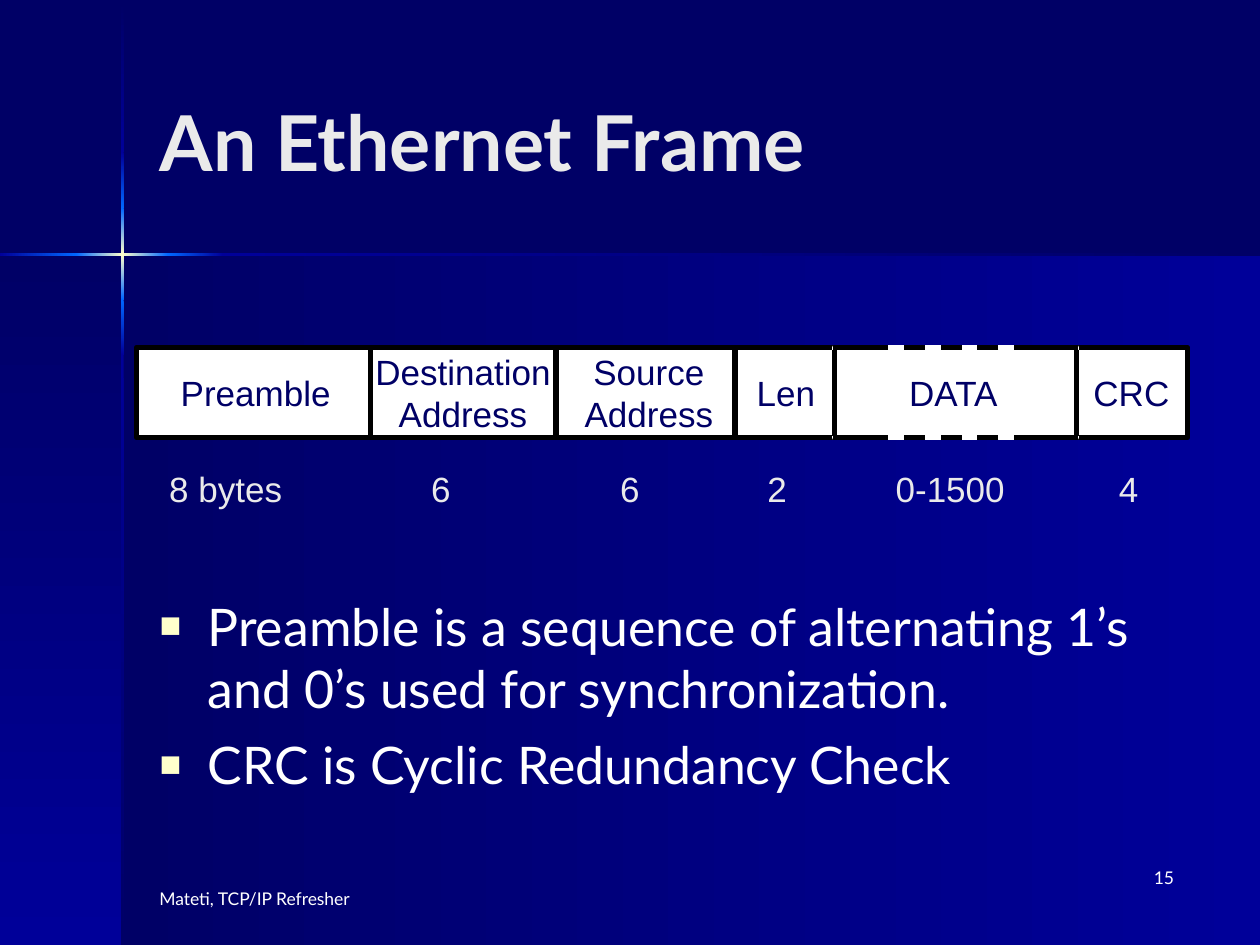
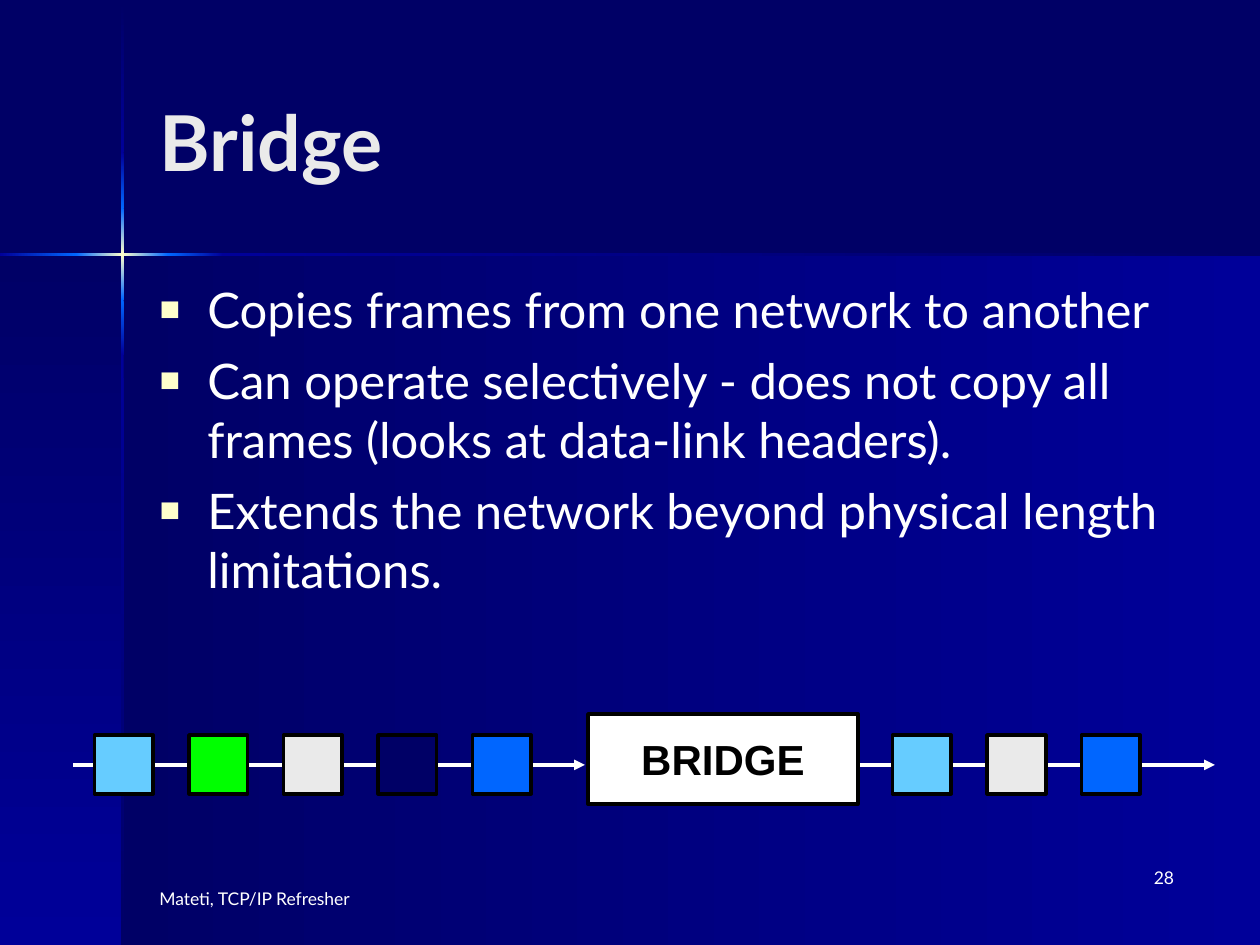
from itertools import pairwise

from lxml import etree
from pptx import Presentation
from pptx import util as u
from pptx.dml.color import RGBColor
from pptx.enum import dml, shapes, text
from pptx.oxml import ns

NAVY = RGBColor(0x00, 0x00, 0x66)
DEEP = RGBColor(0x00, 0x00, 0x99)
BLUE = RGBColor(0x00, 0x66, 0xFF)
SKY = RGBColor(0x66, 0xCC, 0xFF)
LIME = RGBColor(0x00, 0xFF, 0x00)
CREAM = RGBColor(0xFF, 0xFF, 0xCC)
PALE = RGBColor(0xEA, 0xEA, 0xEA)
WHITE = RGBColor(0xFF, 0xFF, 0xFF)
BLACK = RGBColor(0x00, 0x00, 0x00)

WIDE, HIGH = u.Inches(10), u.Inches(7.5)
COLS, ROWS = 120, 90
CROSS_X, CROSS_Y = 11.65, 24.25
GLOW = [NAVY, DEEP, BLUE, CREAM, BLUE, DEEP, NAVY]
DOWN = [0.1, 14.5, 19.8, CROSS_Y, 28.55, 33.8, ROWS]
OVER = [0, 7.25, CROSS_X, 16, 21.25, COLS]

LEFT, SPAN = 14, 99
FRAME_Y, FRAME_H = 33.1, 8.6
FIELDS = [
    ("Preamble", 13, 22.7),
    ("Destination\nAddress", 35.3, 17.6),
    ("Source\nAddress", 53, 17.6),
    ("Len", 70, 9.7),
    ("CRC", 102.4, 10.7),
]
SIZES = ["8 bytes", "6", "6", "2", "0-1500", "4"]
EDGES = [10, 33, 51, 69, 79, 102, 113]


def across(n):
    return round(WIDE * n / COLS)


def along(n):
    return round(HIGH * n / ROWS)


def area(x, y, w, h):
    return across(x), along(y), across(w), along(h)


def place(item, box):
    item.left, item.top, item.width, item.height = area(*box)


def style(para, size, color, face="Lato", bold=False, align=None):
    para.alignment = align
    font = para.font
    font.size, font.name, font.bold = u.Pt(size), face, bold
    font.color.rgb = color
    for run in para.runs:
        run.font.size, run.font.name, run.font.bold = u.Pt(size), face, bold
        run.font.color.rgb = color


def write(item, words, size, color, wrap=False, anchor=text.MSO_ANCHOR.MIDDLE,
          **look):
    frame = item.text_frame
    frame.text = words
    frame.word_wrap = wrap
    frame.auto_size = text.MSO_AUTO_SIZE.NONE
    frame.vertical_anchor = anchor
    for para in frame.paragraphs:
        style(para, size, color, **look)


def rect(slide, box, fill=None, line=None, width=2):
    item = slide.shapes.add_shape(shapes.MSO_SHAPE.RECTANGLE, *area(*box))
    item.shadow.inherit = False
    if fill is not None:
        item.fill.solid()
        item.fill.fore_color.rgb = fill
    if line is None:
        item.line.fill.background()
    else:
        item.line.color.rgb = line
        item.line.width = u.Pt(width)
    return item


def fade(slide, box, start, end, angle):
    fill = rect(slide, box).fill
    fill.gradient()
    fill.gradient_angle = angle
    for stop, color, spot in zip(fill.gradient_stops, (start, end), (0, 1)):
        stop.color.rgb = color
        stop.position = spot


def label(slide, box, words, size, color, **look):
    item = slide.shapes.add_textbox(*area(*box))
    write(item, words, size, color, **look)


def rule(slide, x1, y1, x2, y2, color, width, dash=False, arrow=False):
    item = slide.shapes.add_connector(
        shapes.MSO_CONNECTOR.STRAIGHT,
        across(x1), along(y1), across(x2), along(y2))
    item.line.color.rgb = color
    item.line.width = u.Pt(width)
    if dash:
        item.line.dash_style = dml.MSO_LINE.DASH
    props = item.element.spPr
    if arrow:
        etree.SubElement(props.find(ns.qn("a:ln")), ns.qn("a:tailEnd"),
                         type="triangle")
    etree.SubElement(props, ns.qn("a:effectLst"))


def bullet(para):
    props = para._p.get_or_add_pPr()
    props.set("marL", str(u.Inches(0.38)))
    props.set("indent", str(-u.Inches(0.38)))
    tint = etree.SubElement(props, ns.qn("a:buClr"))
    etree.SubElement(tint, ns.qn("a:srgbClr"), val=str(CREAM))
    etree.SubElement(props, ns.qn("a:buSzPct"), val="70000")
    etree.SubElement(props, ns.qn("a:buFont"), typeface="Arial")
    etree.SubElement(props, ns.qn("a:buChar"), char="■")


def points(body, box, lines, size, gap):
    place(body, box)
    frame = body.text_frame
    frame.text = "\n".join(lines)
    frame.word_wrap = True
    frame.auto_size = text.MSO_AUTO_SIZE.NONE
    for i, para in enumerate(frame.paragraphs):
        bullet(para)
        para.space_before = u.Pt(gap if i else 0)
        style(para, size, WHITE)


def backdrop(slide):
    low = ROWS - CROSS_Y
    fade(slide, (CROSS_X, CROSS_Y, COLS - CROSS_X, low), NAVY, DEEP, 0)
    fade(slide, (0, CROSS_Y, CROSS_X, low), NAVY, DEEP, 270)
    thin = 0.24
    for (a, b), (c, d) in zip(pairwise(DOWN), pairwise(GLOW)):
        fade(slide, (CROSS_X - thin / 2, a, thin, b - a), c, d, 270)
    for (a, b), (c, d) in zip(pairwise(OVER), pairwise(GLOW[1:])):
        fade(slide, (a, CROSS_Y - thin / 2, b - a, thin), c, d, 0)


def start(prs, title, number):
    slide = prs.slides.add_slide(prs.slide_layouts[1])
    head, body = slide.placeholders
    backdrop(slide)
    slide.shapes[-1].element.addnext(head.element)
    head.element.addnext(body.element)
    place(head, (LEFT, 4, SPAN, 18.8))
    write(head, title, 44, PALE, wrap=True, bold=True,
          align=text.PP_ALIGN.LEFT)
    top = text.MSO_ANCHOR.TOP
    label(slide, (LEFT, 84, 32, 6), "Mateti, TCP/IP Refresher", 10, WHITE,
          wrap=True, anchor=top)
    label(slide, (88, 82, 25, 6), number, 10, WHITE, wrap=True, anchor=top,
          align=text.PP_ALIGN.RIGHT)
    return slide, body


def packet(slide):
    look = {"face": "Arial", "align": text.PP_ALIGN.CENTER}
    for words, (a, b) in zip(SIZES, pairwise(EDGES)):
        label(slide, (a, 42, b - a, 9), words, 20, PALE, **look)
    for words, x, w in FIELDS:
        cell = rect(slide, (x, FRAME_Y, w, FRAME_H), WHITE, BLACK, 3)
        write(cell, words, 20, NAVY, **look)
    rect(slide, (79.5, FRAME_Y, 23, FRAME_H), WHITE, WHITE, 3)
    base = FRAME_Y + FRAME_H
    for x in (79.5, 102.5):
        rule(slide, x, FRAME_Y + 0.2, x, base - 0.2, BLACK, 3)
    for y in (FRAME_Y, base):
        rule(slide, 83.6, y, 79.3, y, BLACK, 3)
        rule(slide, 98.6, y, 83.3, y, BLACK, 3, dash=True)
        rule(slide, 102.7, y, 98.3, y, BLACK, 3)
    label(slide, (79.3, FRAME_Y, 23, FRAME_H), "DATA", 20, NAVY, **look)


def stream(slide, x, colors):
    for i, color in enumerate(colors):
        rect(slide, (x + 9 * i, 70, 5.6, 5.6), color, BLACK)


def relay(slide):
    for a, b in ((63, 115.7), (7, 55.7)):
        rule(slide, a, 72.85, b, 72.85, WHITE, 2, arrow=True)
    hub = rect(slide, (56, 68, 25.7, 8.6), WHITE, BLACK)
    write(hub, "BRIDGE", 24, BLACK, face="Arial", bold=True,
          align=text.PP_ALIGN.CENTER)
    stream(slide, 9, [SKY, LIME, PALE, NAVY, BLUE])
    stream(slide, 85, [SKY, PALE, BLUE])


def main():
    prs = Presentation()
    prs.slide_width, prs.slide_height = WIDE, HIGH
    fill = prs.slide_master.background.fill
    fill.solid()
    fill.fore_color.rgb = NAVY

    slide, body = start(prs, "An Ethernet Frame", "15")
    points(body, (LEFT, 56, SPAN, 24), [
        "Preamble is a sequence of alternating 1’s and 0’s used for "
        "synchronization.",
        "CRC is Cyclic Redundancy Check",
    ], 29.6, 8)
    packet(slide)

    slide, body = start(prs, "Bridge", "28")
    points(body, (LEFT, 26, SPAN, 40), [
        "Copies frames from one network to another",
        "Can operate selectively - does not copy all frames (looks at "
        "data-link headers).",
        "Extends the network beyond physical length limitations.",
    ], 28, 7)
    relay(slide)

    prs.save("out.pptx")


if __name__ == "__main__":
    main()
